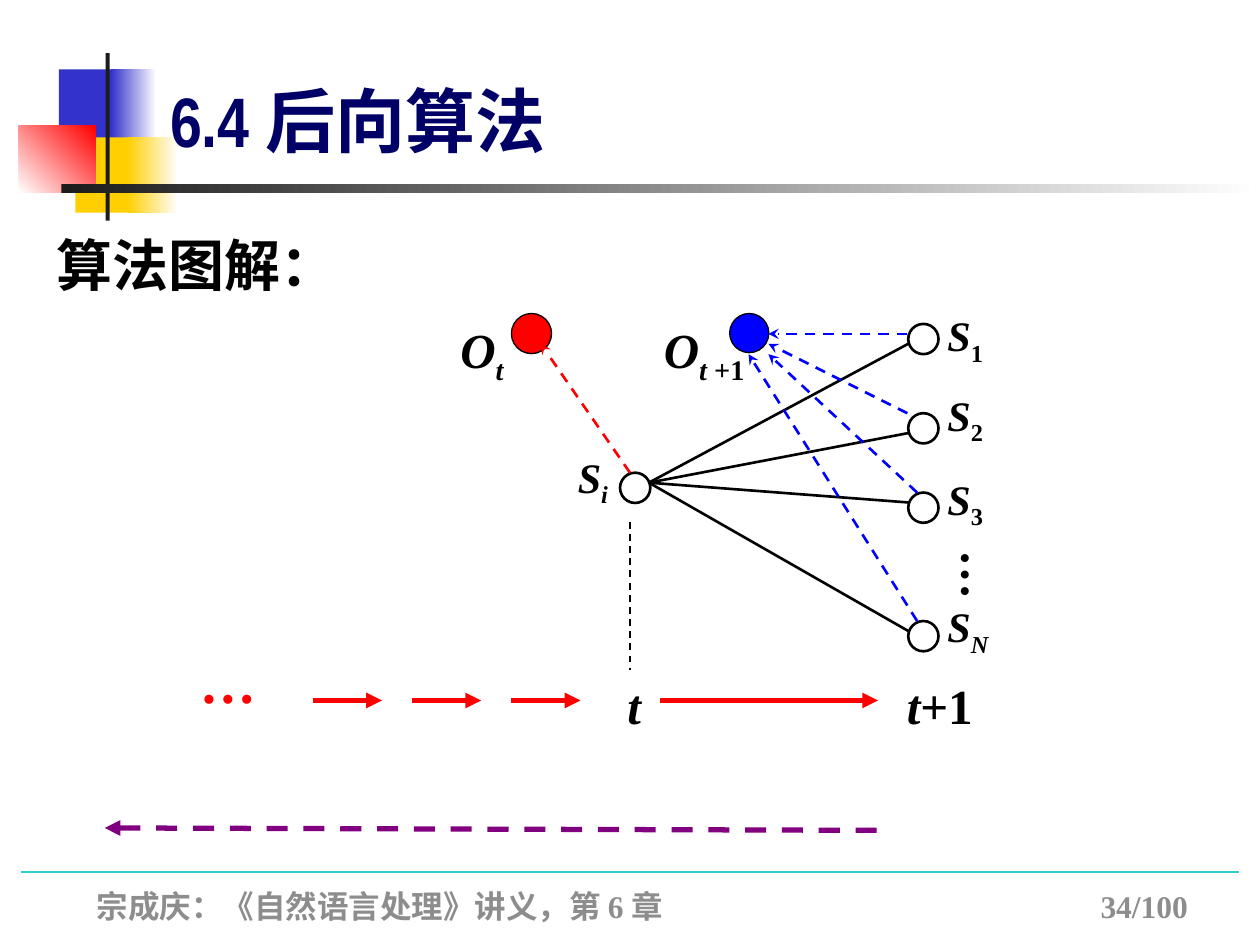
from dataclasses import dataclass
from typing import Optional

from pptx import Presentation
from pptx.dml.color import RGBColor
from pptx.enum.dml import MSO_LINE
from pptx.enum.shapes import MSO_CONNECTOR, MSO_SHAPE
from pptx.enum.text import MSO_ANCHOR, PP_ALIGN
from pptx.oxml.ns import qn
from pptx.util import Cm, Pt
from lxml import etree

RECT, OVAL = MSO_SHAPE.RECTANGLE, MSO_SHAPE.OVAL
LINE, DASH = MSO_CONNECTOR.STRAIGHT, MSO_LINE.DASH
LEFT, MID, JUST = PP_ALIGN.LEFT, PP_ALIGN.CENTER, PP_ALIGN.JUSTIFY
TOP, LOW = MSO_ANCHOR.TOP, MSO_ANCHOR.BOTTOM
TIMES, NARROW, NOTO = "Times New Roman", "Arial Narrow", "Noto Sans CJK SC"

HUES = {
    "white": "FFFFFF", "black": "000000", "ink": "1C1C1C", "grey": "8D8D8D",
    "red": "FF0000", "blue": "0000FF", "purple": "800080", "teal": "33CCCC",
    "navy": "000066", "indigo": "3333CC", "gold": "FFCF01",
}


@dataclass
class Block:
    x: float
    y: float
    w: float
    h: float
    hue: str
    fade: Optional[str] = None
    turn: int = 0


@dataclass
class Bit:
    text: str
    slant: bool = False
    sub: bool = False
    font: str = TIMES


@dataclass
class Label:
    x: float
    y: float
    w: float
    h: float
    bits: list[Bit]
    size: int
    hue: str = "black"
    align: PP_ALIGN = JUST
    anchor: MSO_ANCHOR = TOP
    fill: Optional[str] = None
    vert: Optional[str] = None
    tab: Optional[float] = None


@dataclass
class Link:
    x1: float
    y1: float
    x2: float
    y2: float
    hue: str = "black"
    width: float = 1.5
    dash: bool = False
    head: Optional[str] = None
    tail: Optional[str] = None


@dataclass
class State:
    """A next state: circle top, label top, drop of its line, arrow start and tip."""
    mark: str
    top: float
    text: float
    drop: float
    start: float
    tip: tuple[float, float]


def tint(name: str) -> RGBColor:
    return RGBColor.from_string(HUES[name])


def draw_block(slide, block: Block) -> None:
    shape = slide.shapes.add_shape(
        RECT, Cm(block.x), Cm(block.y), Cm(block.w), Cm(block.h))
    shape.shadow.inherit = False
    shape.line.fill.background()
    if block.fade is None:
        shape.fill.solid()
        shape.fill.fore_color.rgb = tint(block.hue)
        return
    shape.fill.gradient()
    shape.fill.gradient_angle = block.turn
    for stop, hue, pos in zip(shape.fill.gradient_stops, (block.hue, block.fade), (0, 1)):
        stop.color.rgb = tint(hue)
        stop.position = pos


def draw_ring(slide, x: float, y: float, size: float, hue: str, width: float) -> None:
    ring = slide.shapes.add_shape(OVAL, Cm(x), Cm(y), Cm(size), Cm(size))
    ring.shadow.inherit = False
    ring.fill.solid()
    ring.fill.fore_color.rgb = tint(hue)
    ring.line.color.rgb = tint("black")
    ring.line.width = Pt(width)


def draw_label(slide, label: Label) -> None:
    box = slide.shapes.add_textbox(
        Cm(label.x), Cm(label.y), Cm(label.w), Cm(label.h))
    if label.fill:
        box.fill.solid()
        box.fill.fore_color.rgb = tint(label.fill)
    frame = box.text_frame
    frame.word_wrap = True
    frame.vertical_anchor = label.anchor
    if label.vert:
        box._element.txBody.find(qn("a:bodyPr")).set("vert", label.vert)
    para = frame.paragraphs[0]
    para.alignment = label.align
    if label.tab:
        tabs = etree.SubElement(para._p.get_or_add_pPr(), qn("a:tabLst"))
        etree.SubElement(tabs, qn("a:tab"), pos=str(Cm(label.tab)), algn="r")
    for bit in label.bits:
        run = para.add_run()
        run.text = bit.text
        font = run.font
        font.name, font.size = bit.font, Pt(label.size)
        font.bold, font.italic = True, bit.slant
        font.color.rgb = tint(label.hue)
        props = run._r.get_or_add_rPr()
        etree.SubElement(props, qn("a:ea"), typeface=NOTO)
        if bit.sub:
            props.set("baseline", "-25000")


def draw_link(slide, link: Link) -> None:
    line = slide.shapes.add_connector(
        LINE, Cm(link.x1), Cm(link.y1), Cm(link.x2), Cm(link.y2))
    line.line.color.rgb = tint(link.hue)
    line.line.width = Pt(link.width)
    if link.dash:
        line.line.dash_style = DASH
    props = line._element.spPr
    for tag, kind in (("a:headEnd", link.head), ("a:tailEnd", link.tail)):
        if kind:
            etree.SubElement(props.find(qn("a:ln")), qn(tag), type=kind)
    etree.SubElement(props, qn("a:effectLst"))


BLOCKS = [
    Block(1.19, 1.4, 1.22, 1.52, "indigo"),
    Block(2.24, 1.4, 0.91, 1.52, "indigo", "white"),
    Block(1.52, 2.77, 1.17, 1.52, "gold"),
    Block(2.57, 2.77, 1.02, 1.52, "gold", "white"),
    Block(0.38, 2.54, 1.55, 1.35, "white", "red", 45),
    Block(2.13, 1.07, 0.08, 3.38, "ink"),
    Block(1.24, 3.71, 24.16, 0.18, "ink", "white"),
]
LABELS = [
    Label(1.7, 17.75, 23.27, 1.02, [Bit("宗成庆：《自然语言处理》讲义，第 6 章\t34/100")],
          18, "grey", LEFT, tab=22),
    Label(3.18, 1.27, 10.52, 2.11, [Bit("6.4 ", font=NARROW), Bit("后向算法", font=NOTO)],
          40, "navy", LEFT, LOW),
    Label(0.89, 4.52, 7.21, 1.6, [Bit("算法图解：")], 32, align=LEFT, fill="white"),
    Label(3.3, 12.93, 2.59, 1.6, [Bit("…")], 32, "red", MID),
    Label(18.85, 10.85, 1.65, 1.88, [Bit("…")], 28, vert="eaVert"),
    Label(11.4, 8.97, 1.68, 1.5, [Bit("S", True), Bit("i", True, True)], 24),
    Label(12.4, 13.49, 3.33, 2.64, [Bit("t", True)], 28),
    Label(18.03, 13.49, 3.86, 2.64, [Bit("t", True), Bit("+1")], 28),
    Label(8.71, 6.32, 2.01, 1.45, [Bit("O", True), Bit("t", True, True)], 28, align=MID),
    Label(12.9, 6.32, 2.59, 1.45,
          [Bit("O", True), Bit("t ", True, True), Bit("+1", sub=True)], 28, align=MID),
]
STATES = [
    State("1", 6.53, 6.12, 0.4, 18.29, (15.49, 6.73)),
    State("2", 8.33, 7.72, 0.4, 18.29, (15.49, 6.93)),
    State("3", 9.93, 9.42, 0.2, 18.49, (15.49, 7.14)),
    State("N", 12.52, 11.99, 0.2, 18.49, (15.09, 7.14)),
]
AXIS = 14.12
STEPS = [(6.3 + 2 * i, 7.7 + 2 * i) for i in range(3)] + [(13.31, 17.7)]
LINKS = [
    Link(0.43, 17.58, 24.97, 17.58, "teal", 0.75),
    Link(12.7, 9.53, 10.9, 6.93, "red", dash=True, tail="stealth"),
    Link(2.11, 16.69, 17.7, 16.74, "purple", 3, True, head="triangle"),
    Link(12.7, 10.52, 12.7, 13.51, width=1, dash=True),
    *(Link(a, AXIS, b, AXIS, "red", 3, tail="triangle") for a, b in STEPS),
]


def draw_state(slide, state: State) -> None:
    draw_ring(slide, 18.31, state.top, 0.61, "white", 1.5)
    bits = [Bit("S", True), Bit(state.mark, state.mark == "N", True)]
    draw_label(slide, Label(18.85, state.text, 1.65, 1.5, bits, 24))
    draw_link(slide, Link(13.08, 9.73, 18.31, state.top + state.drop))
    rise = 6.73 if state.mark == "1" else state.top
    draw_link(slide, Link(state.start, rise, *state.tip, "blue", dash=True, tail="stealth"))


def main() -> None:
    deck = Presentation()
    deck.slide_width, deck.slide_height = Cm(25.4), Cm(19.05)
    slide = deck.slides.add_slide(deck.slide_layouts[6])
    for block in BLOCKS:
        draw_block(slide, block)
    for label in LABELS:
        draw_label(slide, label)
    draw_ring(slide, 12.5, 9.53, 0.61, "white", 1.5)
    draw_ring(slide, 10.31, 6.32, 0.81, "red", 0.75)
    draw_ring(slide, 14.71, 6.32, 0.79, "blue", 0.75)
    for state in STATES:
        draw_state(slide, state)
    for link in LINKS:
        draw_link(slide, link)
    deck.save("out.pptx")


if __name__ == "__main__":
    main()
